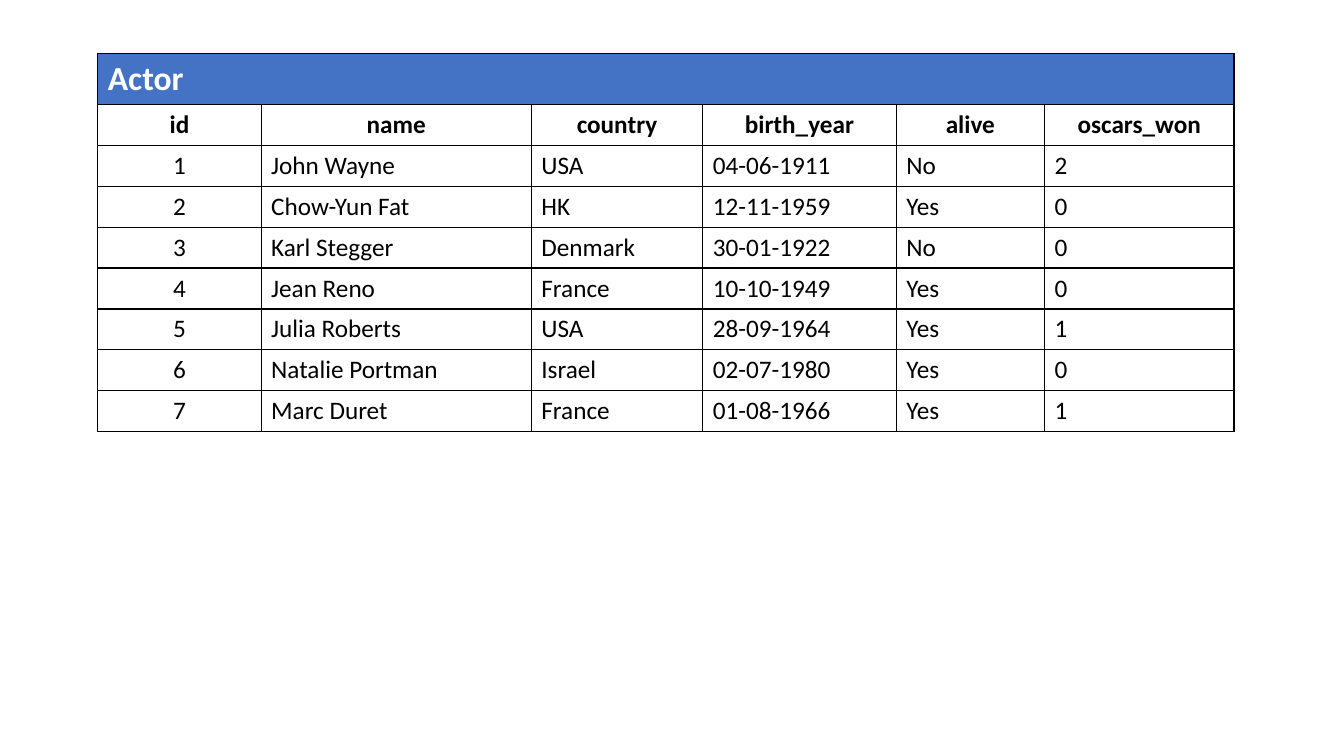
from typing import NamedTuple
from lxml.etree import SubElement
from pptx import Presentation
from pptx.dml.color import RGBColor
from pptx.enum.text import PP_ALIGN
from pptx.oxml.ns import qn
from pptx.table import _Cell as Cell
from pptx.util import Inches, Pt


class Look(NamedTuple):
    size: int
    bold: bool
    ink: str
    fill: str


class Column(NamedTuple):
    label: str
    width: float
    align: PP_ALIGN


TITLE = Look(24, True, "FFFFFF", "4472C4")
HEAD = Look(18, True, "000000", "FFFFFF")
BODY = Look(18, False, "000000", "FFFFFF")

LEFT, CENTER = PP_ALIGN.LEFT, PP_ALIGN.CENTER
COLUMNS = [
    Column("id", 1.62, CENTER),
    Column("name", 2.68, LEFT),
    Column("country", 1.7, LEFT),
    Column("birth_year", 1.92, LEFT),
    Column("alive", 1.47, LEFT),
    Column("oscars_won", 1.88, LEFT),
]
ACTORS = [
    ("John Wayne", "USA", "04-06-1911", "No", 2),
    ("Chow-Yun Fat", "HK", "12-11-1959", "Yes", 0),
    ("Karl Stegger", "Denmark", "30-01-1922", "No", 0),
    ("Jean Reno", "France", "10-10-1949", "Yes", 0),
    ("Julia Roberts", "USA", "28-09-1964", "Yes", 1),
    ("Natalie Portman", "Israel", "02-07-1980", "Yes", 0),
    ("Marc Duret", "France", "01-08-1966", "Yes", 1),
]
TALL, ROW = 0.5, 0.4


def color(code: str) -> RGBColor:
    return RGBColor.from_string(code)


def border(cell: Cell) -> None:
    props = cell._tc.get_or_add_tcPr()
    for spot, side in enumerate(("lnL", "lnR", "lnT", "lnB")):
        line = SubElement(props, qn(f"a:{side}"), w=str(Pt(1)))
        fill = SubElement(line, qn("a:solidFill"))
        SubElement(fill, qn("a:srgbClr"), val="000000")
        props.insert(spot, line)


def style(cell: Cell, look: Look) -> None:
    cell.fill.solid()
    cell.fill.fore_color.rgb = color(look.fill)
    border(cell)


def write(cell: Cell, text: str, look: Look, align: PP_ALIGN) -> None:
    style(cell, look)
    line = cell.text_frame.paragraphs[0]
    line.text = text
    line.alignment = align
    font = line.runs[0].font
    font.name, font.size, font.bold = "Calibri", Pt(look.size), look.bold
    font.color.rgb = color(look.ink)


deck = Presentation()
deck.slide_width, deck.slide_height = Inches(13.33), Inches(7.5)
slide = deck.slides.add_slide(deck.slide_layouts[6])

count = len(ACTORS) + 2
width = sum(column.width for column in COLUMNS)
height = TALL + ROW * (count - 1)
table = slide.shapes.add_table(
    count, len(COLUMNS), Inches(0.97), Inches(0.53), Inches(width), Inches(height)
).table
table.first_row = table.horz_banding = False
for index, row in enumerate(table.rows):
    row.height = Inches(ROW if index else TALL)

for index, column in enumerate(COLUMNS):
    table.columns[index].width = Inches(column.width)
    style(table.cell(0, index), TITLE)
    write(table.cell(1, index), column.label, HEAD, CENTER)
    for number, actor in enumerate(ACTORS, 1):
        value = (number, *actor)[index]
        write(table.cell(number + 1, index), str(value), BODY, column.align)

title = table.cell(0, 0)
title.merge(table.cell(0, len(COLUMNS) - 1))
title.text_frame.text = "Actor"
font = title.text_frame.paragraphs[0].runs[0].font
font.name, font.size, font.bold = "Calibri", Pt(TITLE.size), TITLE.bold
font.color.rgb = color(TITLE.ink)

deck.save("out.pptx")
